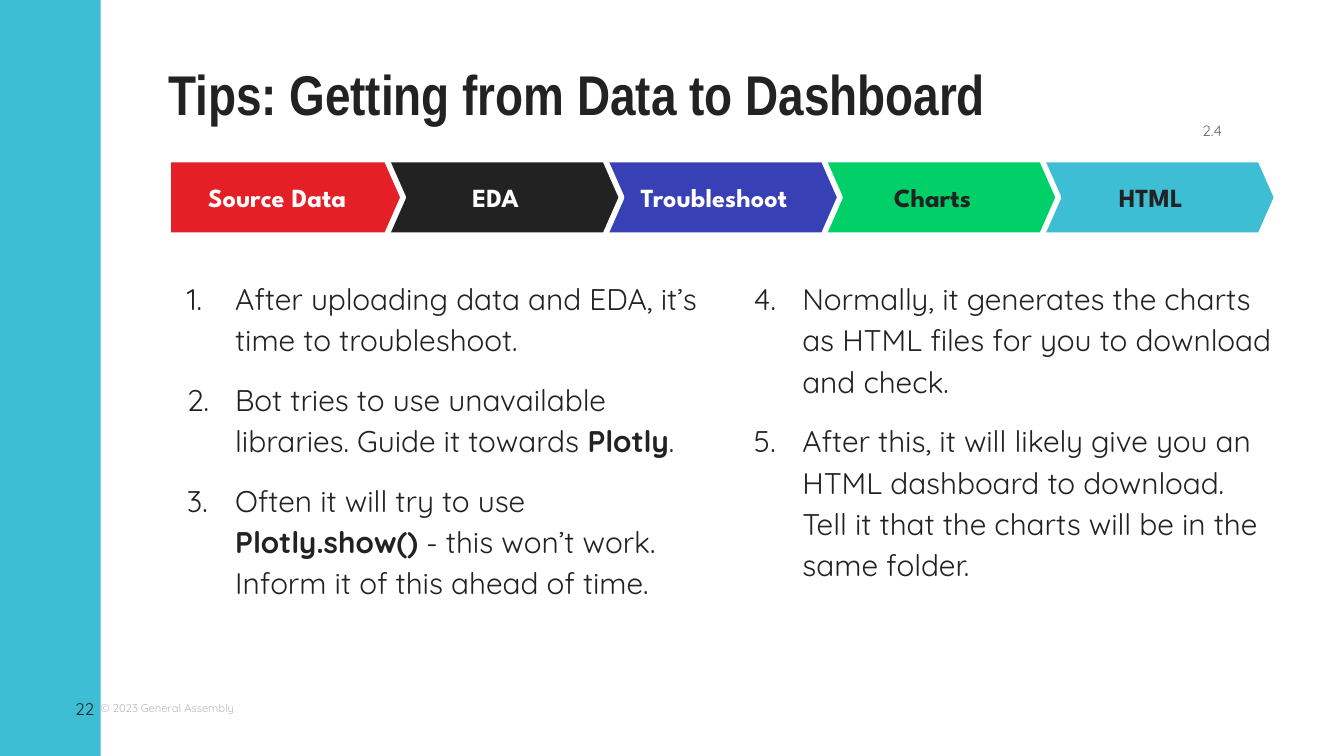
from dataclasses import dataclass
from pptx import Presentation
from pptx.dml.color import RGBColor as Rgb
from pptx.enum.shapes import MSO_SHAPE as Shape
from pptx.enum.text import MSO_ANCHOR as Anchor, MSO_AUTO_SIZE as Fit, PP_ALIGN as Align
from pptx.oxml.ns import qn
from pptx.util import Inches, Pt
from lxml.etree import SubElement as Sub

WHITE = Rgb(0xFF, 0xFF, 0xFF)
INK = Rgb(0x22, 0x22, 0x22)
CYAN = Rgb(0x3D, 0xBE, 0xD4)
GREEN = Rgb(0x01, 0xD0, 0x68)
BLUE = Rgb(0x37, 0x40, 0xB5)
RED = Rgb(0xE4, 0x1F, 0x26)
GREY = Rgb(0x66, 0x66, 0x66)
PALE = Rgb(0xB7, 0xB7, 0xB7)

HEAD, BODY, LABEL = "Arial Narrow", "Quicksand", "League Spartan"
COLS, ROWS = 80, 45
PITCH = 13


@dataclass
class Box:
    col: float
    row: float
    wide: float
    high: float


@dataclass
class Font:
    name: str
    size: float
    color: Rgb
    bold: bool = False


@dataclass
class Step:
    text: str
    fill: Rgb
    ink: Rgb


@dataclass
class Part:
    text: str
    bold: bool = False


@dataclass
class Tips:
    box: Box
    start: int
    items: list[list[Part]]


STEPS = [
    Step("Source Data", RED, WHITE),
    Step("EDA", INK, WHITE),
    Step("Troubleshoot", BLUE, WHITE),
    Step("Charts", GREEN, INK),
    Step("HTML", CYAN, INK),
]

TIPS = [
    Tips(Box(10, 16.4, 32.24, 19.3), 1, [
        [Part("After uploading data and EDA, it’s time to troubleshoot.")],
        [Part("Bot tries to use unavailable libraries. Guide it towards "),
         Part("Plotly", True), Part(".")],
        [Part("Often it will try to use "), Part("Plotly.show()", True),
         Part(" - this won’t work. Inform it of this ahead of time.")],
    ]),
    Tips(Box(43.76, 16.4, 32.24, 18.2), 4, [
        [Part("Normally, it generates the charts as HTML files for you to download and check.")],
        [Part("After this, it will likely give you an HTML dashboard to download. "
              "Tell it that the charts will be in the same folder.")],
    ]),
]

deck = Presentation()
deck.slide_width, deck.slide_height = Inches(10), Inches(5.625)
slide = deck.slides.add_slide(deck.slide_layouts[5])
shapes = slide.shapes


def place(box: Box) -> tuple[int, int, int, int]:
    unit_x, unit_y = deck.slide_width / COLS, deck.slide_height / ROWS
    return (round(box.col * unit_x), round(box.row * unit_y),
            round(box.wide * unit_x), round(box.high * unit_y))


def setup(frame, inset: float, anchor: Anchor) -> None:
    frame.word_wrap, frame.auto_size = True, Fit.NONE
    frame.vertical_anchor = anchor
    frame.margin_left = frame.margin_right = Inches(inset)
    frame.margin_top = frame.margin_bottom = Inches(inset)


def write(para, text: str, font: Font) -> None:
    run = para.add_run()
    run.text = text
    run.font.name, run.font.size = font.name, Pt(font.size)
    run.font.bold = font.bold
    run.font.color.rgb = font.color


def draw_text(box: Box, text: str, font: Font, align: Align, inset: float = 0) -> None:
    frame = shapes.add_textbox(*place(box)).text_frame
    setup(frame, inset, Anchor.MIDDLE)
    para = frame.paragraphs[0]
    para.alignment = align
    write(para, text, font)


def draw_shape(kind: Shape, box: Box, fill: Rgb):
    shape = shapes.add_shape(kind, *place(box))
    shape.shadow.inherit = False
    shape.fill.solid()
    shape.fill.fore_color.rgb = fill
    shape.line.fill.background()
    return shape


def draw_step(spot: int, step: Step) -> None:
    arrow = draw_shape(Shape.RIGHT_ARROW, Box(10 + spot * PITCH, 9.5, 14, 4.5), step.fill)
    arrow.adjustments[0], arrow.adjustments[1] = 1, 0.22
    arrow.line.color.rgb, arrow.line.width = WHITE, Pt(3)
    setup(arrow.text_frame, 0.1, Anchor.MIDDLE)
    para = arrow.text_frame.paragraphs[0]
    para.alignment = Align.CENTER
    write(para, step.text, Font(LABEL, 14, step.ink, True))


def number(para, start: int) -> None:
    props = para._p.get_or_add_pPr()
    props.set("marL", str(Inches(0.5)))
    props.set("indent", str(Inches(-0.36)))
    Sub(Sub(props, qn("a:buClr")), qn("a:srgbClr"), val=str(INK))
    Sub(props, qn("a:buFont"), typeface=BODY)
    Sub(props, qn("a:buAutoNum"), type="arabicPeriod", startAt=str(start))


def draw_tips(tips: Tips) -> None:
    frame = shapes.add_textbox(*place(tips.box)).text_frame
    setup(frame, 0, Anchor.TOP)
    for spot, parts in enumerate(tips.items):
        para = frame.add_paragraph() if spot else frame.paragraphs[0]
        number(para, tips.start)
        para.line_spacing = 1.15
        para.space_before = Pt(10 if spot else 0)
        para.space_after = Pt(0)
        for part in parts:
            write(para, part.text, Font(BODY, 16, INK, part.bold))


def draw_title(text: str) -> None:
    title = shapes.title
    title.left, title.top, title.width, title.height = place(Box(10, 4, 66, 3.6))
    setup(title.text_frame, 0, Anchor.TOP)
    para = title.text_frame.paragraphs[0]
    para.alignment, para.line_spacing = Align.LEFT, 0.9
    write(para, text, Font(HEAD, 30, INK, True))


def main() -> None:
    draw_text(Box(6, 41.36, 8, 1.6), "© 2023 General Assembly", Font(BODY, 6, PALE), Align.LEFT)
    draw_shape(Shape.RECTANGLE, Box(0, 0, 6, ROWS), CYAN)
    for tips in TIPS:
        draw_tips(tips)
    draw_title("Tips: Getting from Data to Dashboard")
    draw_text(Box(2.8, 40.8, 2.8, 2.8), "22", Font(BODY, 9, INK), Align.RIGHT)
    for spot, step in reversed(list(enumerate(STEPS))):
        draw_step(spot, step)
    draw_text(Box(69.6, 7.04, 5.12, 1.44), "2.4", Font(BODY, 8, GREY), Align.CENTER, 0.1)
    deck.save("out.pptx")


if __name__ == "__main__":
    main()
